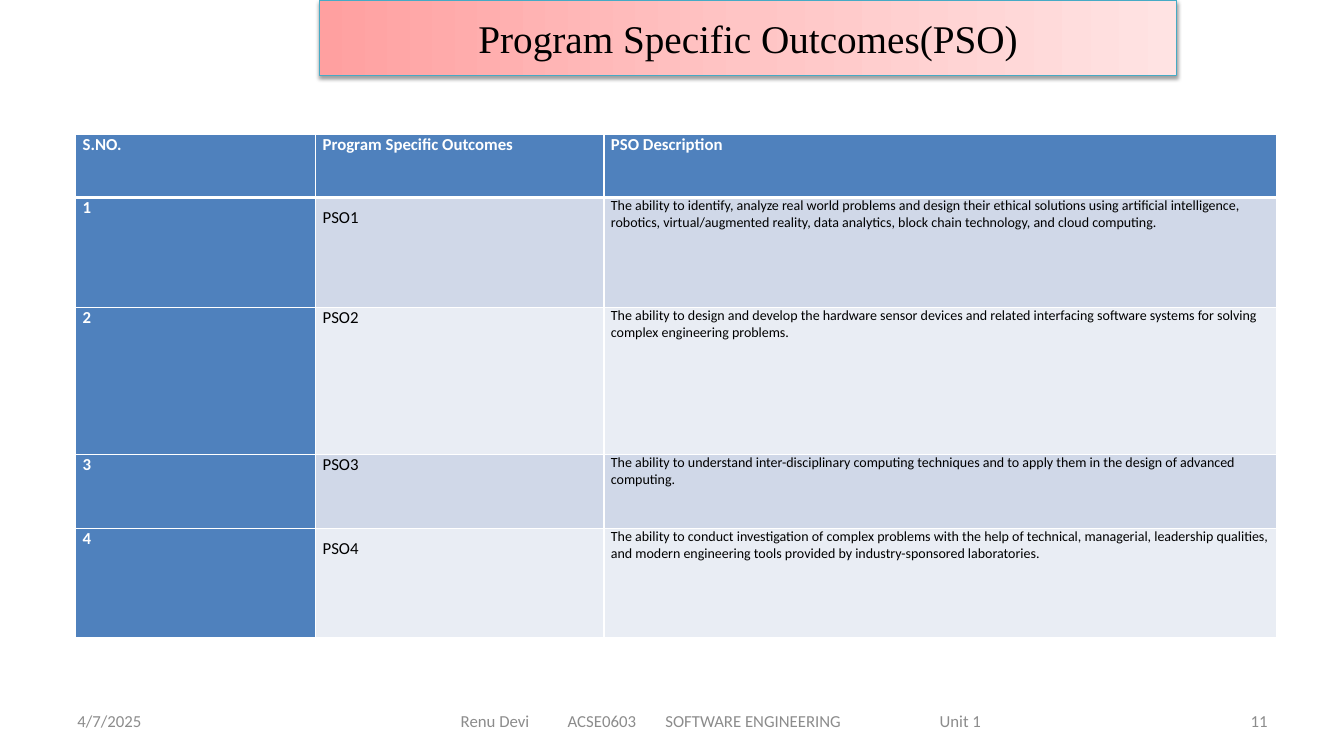
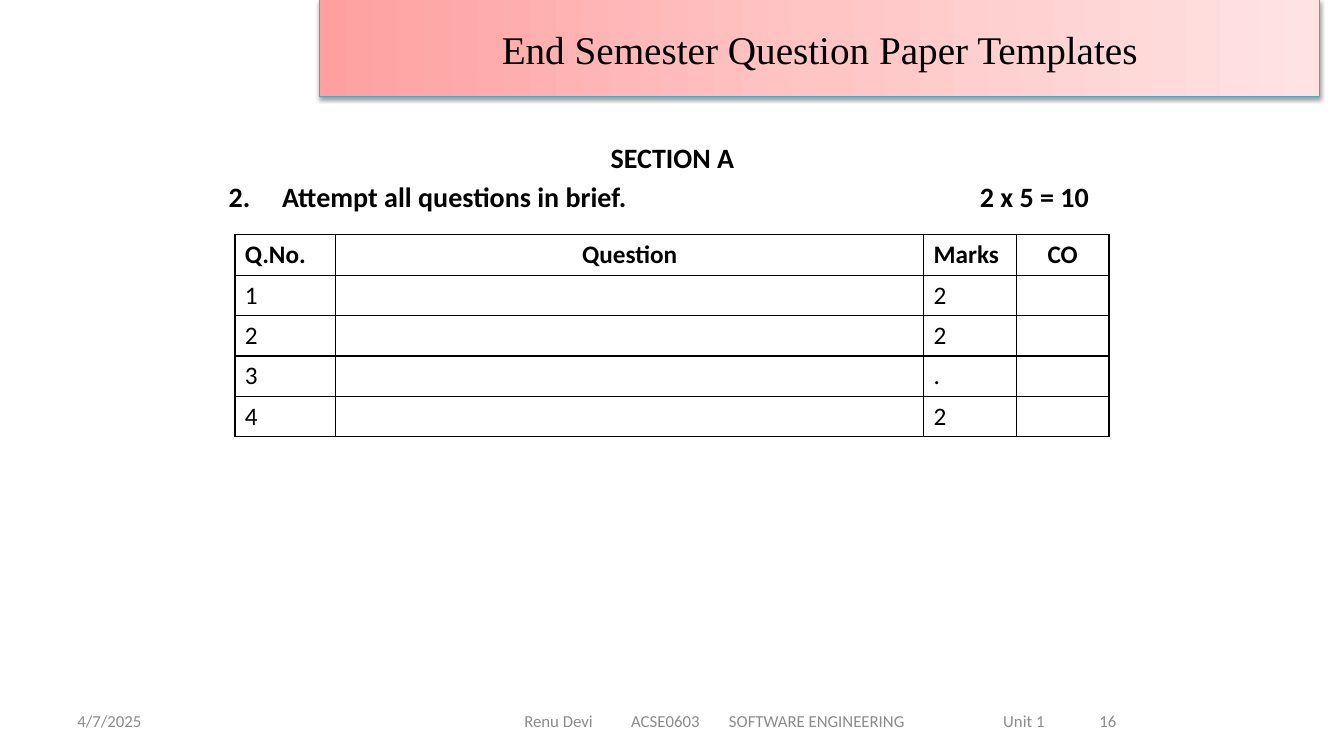
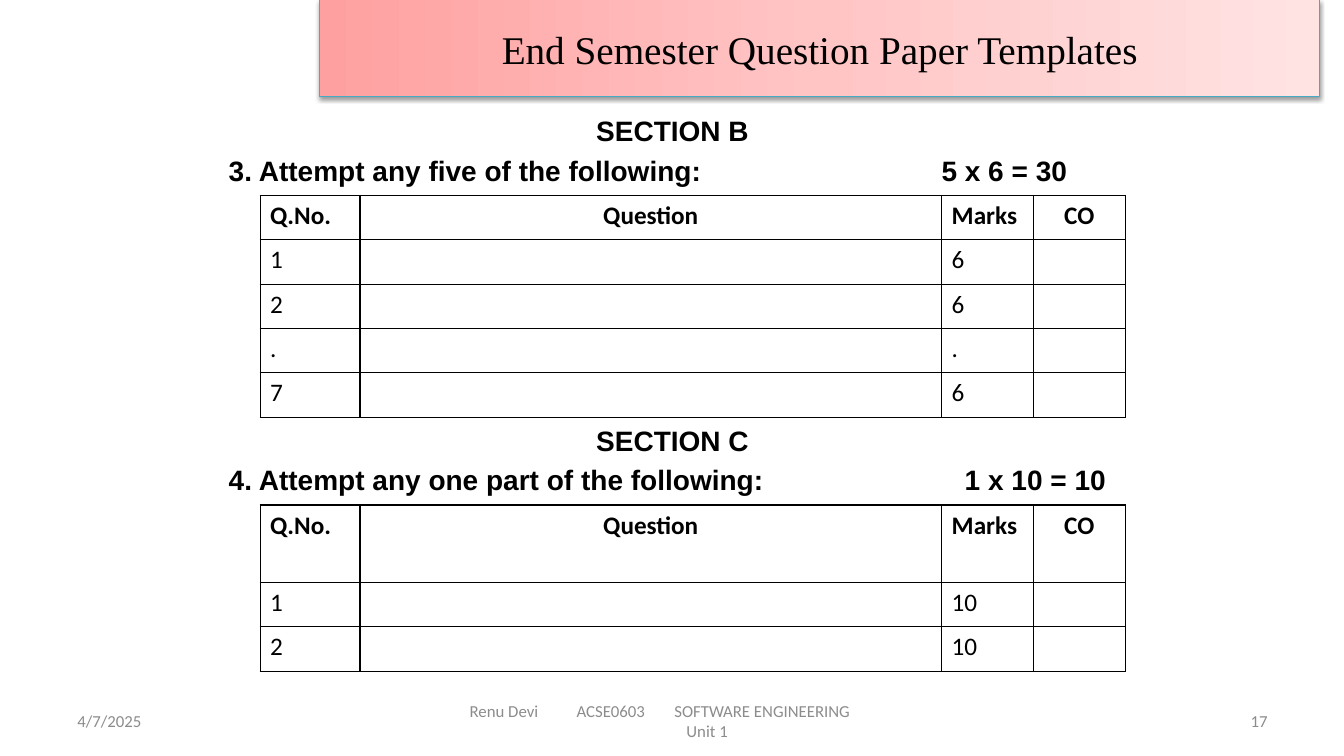
from copy import deepcopy
from dataclasses import dataclass

from lxml import etree
from pptx import Presentation
from pptx.dml.color import RGBColor
from pptx.enum import shapes, text
from pptx.oxml import ns
from pptx.util import Inches, Pt

LEFT, CENTER = text.PP_ALIGN.LEFT, text.PP_ALIGN.CENTER
RIGHT, JUSTIFY = text.PP_ALIGN.RIGHT, text.PP_ALIGN.JUSTIFY
TOP, MIDDLE = text.MSO_ANCHOR.TOP, text.MSO_ANCHOR.MIDDLE


@dataclass(frozen=True)
class Theme:
    black: str = "000000"
    white: str = "FFFFFF"
    muted: str = "8C8C8C"
    accent: str = "4F81BD"
    bands: tuple[str, str] = ("D0D8E8", "E9EDF4")
    banner_stops: tuple[str, ...] = ("FFA0A0", "FFC5C5", "FFE3E3")
    banner_line: str = "46AAC5"
    body_font: str = "Calibri"
    section_font: str = "Arial"
    title_font: str = "Times New Roman"
    title_size: float = 28
    section_size: float = 20
    grid_size: float = 18
    label_size: float = 12
    detail_size: float = 10


THEME = Theme()


@dataclass(frozen=True)
class Style:
    size: float
    color: str = THEME.black
    font: str = THEME.body_font
    bold: bool = False
    align: text.PP_ALIGN = LEFT
    line_spacing: float | None = None


@dataclass(frozen=True)
class Line:
    text: str
    style: Style
    tabs: tuple[float, ...] = ()
    space_before: float = 0


@dataclass(frozen=True)
class Cell:
    text: str
    style: Style
    fill: str = THEME.white


@dataclass(frozen=True)
class Footer:
    number: str
    left: float
    width: float
    inset: float
    lines: tuple[Line, ...]
    number_right: float = 12.67


@dataclass(frozen=True)
class Section:
    top: float
    heading: str
    prompt: str
    tabs: tuple[float, ...]
    font: str


@dataclass(frozen=True)
class QuestionTable:
    left: float
    top: float
    cols: tuple[float, ...]
    row_height: float
    header_height: float
    entries: tuple[tuple[str, str], ...]


FOOTER_STYLE = Style(THEME.label_size, THEME.muted)
COURSE = "Renu Devi\tACSE0603\tSOFTWARE ENGINEERING"
FOOTER_TABS = (1.06, 2.03, 4.75)
FOOTER_LINE = Line(f"{COURSE}\tUnit 1", FOOTER_STYLE, FOOTER_TABS)
PAPER_TITLE = "End Semester Question Paper Templates"

OUTCOMES = (
    ("The ability to identify, analyze real world problems and design their ethical solutions using "
     "artificial intelligence, robotics, virtual/augmented reality, data analytics, block chain "
     "technology, and cloud computing.", 1.09, 1.5),
    ("The ability to design and develop the hardware sensor devices and related interfacing software "
     "systems for solving complex engineering problems.", 1.46, None),
    ("The ability to understand inter-disciplinary computing techniques and to apply them in the "
     "design of advanced computing.", 0.73, None),
    ("The ability to conduct investigation of complex problems with the help of technical, managerial, "
     "leadership qualities, and modern engineering tools provided by industry-sponsored laboratories.",
     1.09, 1.5),
)


def rgb(color: str) -> RGBColor:
    return RGBColor.from_string(color)


def format_paragraph(p, style: Style) -> None:
    p.alignment = style.align
    if style.line_spacing:
        p.line_spacing = style.line_spacing
    for r in p.runs:
        r.font.name = style.font
        r.font.size = Pt(style.size)
        r.font.bold = style.bold
        r.font.color.rgb = rgb(style.color)


def add_tabs(p, tabs: tuple[float, ...]) -> None:
    tab_list = etree.SubElement(p._p.get_or_add_pPr(), ns.qn("a:tabLst"))
    for tab in tabs:
        etree.SubElement(tab_list, ns.qn("a:tab"), pos=str(Inches(tab)), algn="l")


def add_text(s, left: float, top: float, width: float, height: float, lines: tuple[Line, ...],
             anchor=MIDDLE, inset: float = 0.1) -> None:
    tf = s.shapes.add_textbox(Inches(left), Inches(top), Inches(width), Inches(height)).text_frame
    tf.word_wrap = True
    tf.vertical_anchor = anchor
    tf.margin_left = Inches(inset)
    tf.text = "\n".join(line.text for line in lines)
    for p, line in zip(tf.paragraphs, lines):
        if line.tabs:
            add_tabs(p, line.tabs)
        if line.space_before:
            p.space_before = Pt(line.space_before)
        format_paragraph(p, line.style)


def add_banner(s, title: str, width: float, height: float) -> None:
    sp = s.shapes.add_shape(shapes.MSO_SHAPE.RECTANGLE, Inches(3.17), 0, Inches(width), Inches(height))
    sp.fill.gradient()
    sp.fill.gradient_angle = 0
    stops = sp._element.spPr.find(".//" + ns.qn("a:gsLst"))
    stops.insert(1, deepcopy(stops[0]))
    for i, (stop, color) in enumerate(zip(sp.fill.gradient_stops, THEME.banner_stops)):
        stop.position = i / 2
        stop.color.rgb = rgb(color)
    sp.line.color.rgb = rgb(THEME.banner_line)
    sp.line.width = Pt(0.75)
    sp.shadow.inherit = False
    effects = sp._element.spPr.find(ns.qn("a:effectLst"))
    shadow = etree.SubElement(effects, ns.qn("a:outerShdw"), blurRad=str(Pt(3.1)), dist=str(Pt(1.6)),
                              dir="5400000", rotWithShape="0")
    color = etree.SubElement(shadow, ns.qn("a:srgbClr"), val=THEME.black)
    etree.SubElement(color, ns.qn("a:alpha"), val="38000")
    tf = sp.text_frame
    tf.word_wrap = True
    tf.vertical_anchor = MIDDLE
    tf.text = title
    format_paragraph(tf.paragraphs[0], Style(THEME.title_size, font=THEME.title_font, align=CENTER))


def add_footer(s, footer: Footer) -> None:
    top, height, width = 6.95, 0.4, 3.11
    number_style = Style(THEME.label_size, THEME.muted, align=RIGHT)
    add_text(s, 0.67, top, width, height, (Line("4/7/2025", FOOTER_STYLE),))
    add_text(s, footer.number_right - width, top, width, height, (Line(footer.number, number_style),))
    add_text(s, footer.left, top, footer.width, height, footer.lines, inset=footer.inset)


def add_border(cell, side: str, color: str, width: float) -> None:
    ln = etree.SubElement(cell._tc.get_or_add_tcPr(), ns.qn(f"a:ln{side}"), w=str(Pt(width)))
    fill = etree.SubElement(ln, ns.qn("a:solidFill"))
    etree.SubElement(fill, ns.qn("a:srgbClr"), val=color)


def add_grid(s, left: float, top: float, cols: tuple[float, ...], heights: list[float],
             rows: list[list[Cell]], border: str, margins: tuple[float, float] = (0.1, 0.05),
             header_rule: float = 1) -> None:
    table = s.shapes.add_table(len(rows), len(cols), Inches(left), Inches(top),
                               Inches(sum(cols)), Inches(sum(heights))).table
    table.first_row = table.horz_banding = False
    for column, width in zip(table.columns, cols):
        column.width = Inches(width)
    for i, (row, height) in enumerate(zip(rows, heights)):
        table.rows[i].height = Inches(height)
        widths = {"L": 1, "R": 1, "T": header_rule if i == 1 else 1, "B": header_rule if i == 0 else 1}
        for j, content in enumerate(row):
            cell = table.cell(i, j)
            for side, width in widths.items():
                add_border(cell, side, border, width)
            cell.fill.solid()
            cell.fill.fore_color.rgb = rgb(content.fill)
            cell.margin_left = cell.margin_right = Inches(margins[0])
            cell.margin_top = cell.margin_bottom = Inches(margins[1])
            cell.text_frame.text = content.text
            format_paragraph(cell.text_frame.paragraphs[0], content.style)


def add_outcomes(s) -> None:
    head = Style(THEME.label_size, THEME.white, bold=True)
    headers = ("S.NO.", "Program Specific Outcomes", "PSO Description")
    rows = [[Cell(label, head, THEME.accent) for label in headers]]
    for i, (description, _, spacing) in enumerate(OUTCOMES):
        band = THEME.bands[i % 2]
        code = Style(THEME.label_size, align=JUSTIFY if spacing else LEFT, line_spacing=spacing)
        rows.append([Cell(str(i + 1), head, THEME.accent), Cell(f"PSO{i + 1}", code, band),
                     Cell(description, Style(THEME.detail_size), band)])
    heights = [0.63] + [height for _, height, _ in OUTCOMES]
    add_grid(s, 0.75, 1.33, (2.38, 2.86, 6.67), heights, rows, THEME.white, (0.07, 0), 3)


def add_section(s, section: Section) -> None:
    size, font = THEME.section_size, section.font
    heading = Line(section.heading, Style(size, font=font, bold=True, align=CENTER))
    prompt = Line(section.prompt, Style(size, font=font, bold=True), section.tabs, 4)
    add_text(s, 2.17, section.top, 9, 0.85, (heading, prompt), TOP)


def add_questions(s, questions: QuestionTable) -> None:
    plain = Style(THEME.grid_size)
    headers = (("Q.No.", LEFT), ("Question", CENTER), ("Marks", LEFT), ("CO", CENTER))
    rows = [[Cell(label, Style(THEME.grid_size, bold=True, align=align)) for label, align in headers]]
    for number, marks in questions.entries:
        rows.append([Cell(label, plain) for label in (number, "", marks, "")])
    heights = [questions.header_height] + [questions.row_height] * len(questions.entries)
    add_grid(s, questions.left, questions.top, questions.cols, heights, rows, THEME.black)


def add_slide(prs, title: str, banner: tuple[float, float], footer: Footer):
    s = prs.slides.add_slide(prs.slide_layouts[6])
    add_banner(s, title, *banner)
    add_footer(s, footer)
    return s


def main() -> None:
    prs = Presentation()
    prs.slide_width, prs.slide_height = Inches(13.33), Inches(7.5)

    s = add_slide(prs, "Program Specific Outcomes(PSO)", (8.5, 0.75),
                  Footer("11", 4.42, 5.5, 0.15, (FOOTER_LINE,)))
    add_outcomes(s)

    paper_banner = (9.92, 0.96)
    s = add_slide(prs, PAPER_TITLE, paper_banner,
                  Footer("16", 5.08, 5.52, 0.12, (FOOTER_LINE,), 11.17))
    add_section(s, Section(1.34, "SECTION A", "2.\tAttempt all questions in brief.\t2 x 5 = 10",
                           (0.53, 7.45), THEME.body_font))
    add_questions(s, QuestionTable(2.33, 2.33, (1, 5.83, 0.92, 0.92), 0.4, 0.4,
                                   (("1", "2"), ("2", "2"), ("3", "."), ("4", "2"))))

    wrapped = (Line(COURSE, FOOTER_STYLE, FOOTER_TABS), Line("\tUnit 1", FOOTER_STYLE, (2.15,)))
    s = add_slide(prs, PAPER_TITLE, paper_banner, Footer("17", 4.56, 4.22, 0.1, wrapped))
    cols = (0.99, 5.77, 0.91, 0.91)
    add_section(s, Section(1.08, "SECTION B", "3. Attempt any five of the following:\t5 x 6 = 30",
                           (7.07,), THEME.section_font))
    add_questions(s, QuestionTable(2.58, 1.94, cols, 0.44, 0.44,
                                   (("1", "6"), ("2", "6"), (".", "."), ("7", "6"))))
    add_section(s, Section(4.15, "SECTION C", "4. Attempt any one part of the following:\t1 x 10 = 10",
                           (7.3,), THEME.section_font))
    add_questions(s, QuestionTable(2.58, 5.01, cols, 0.44, 0.77, (("1", "10"), ("2", "10"))))

    prs.save("out.pptx")


if __name__ == "__main__":
    main()
